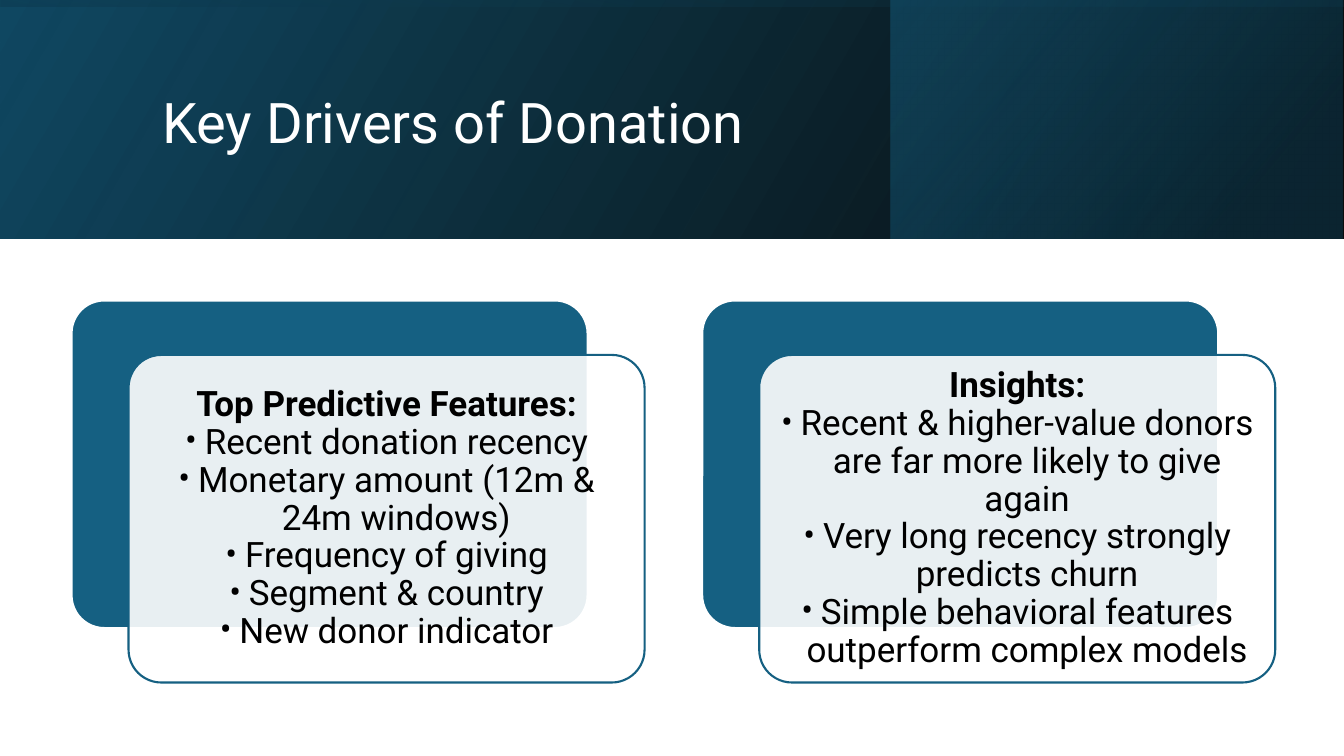
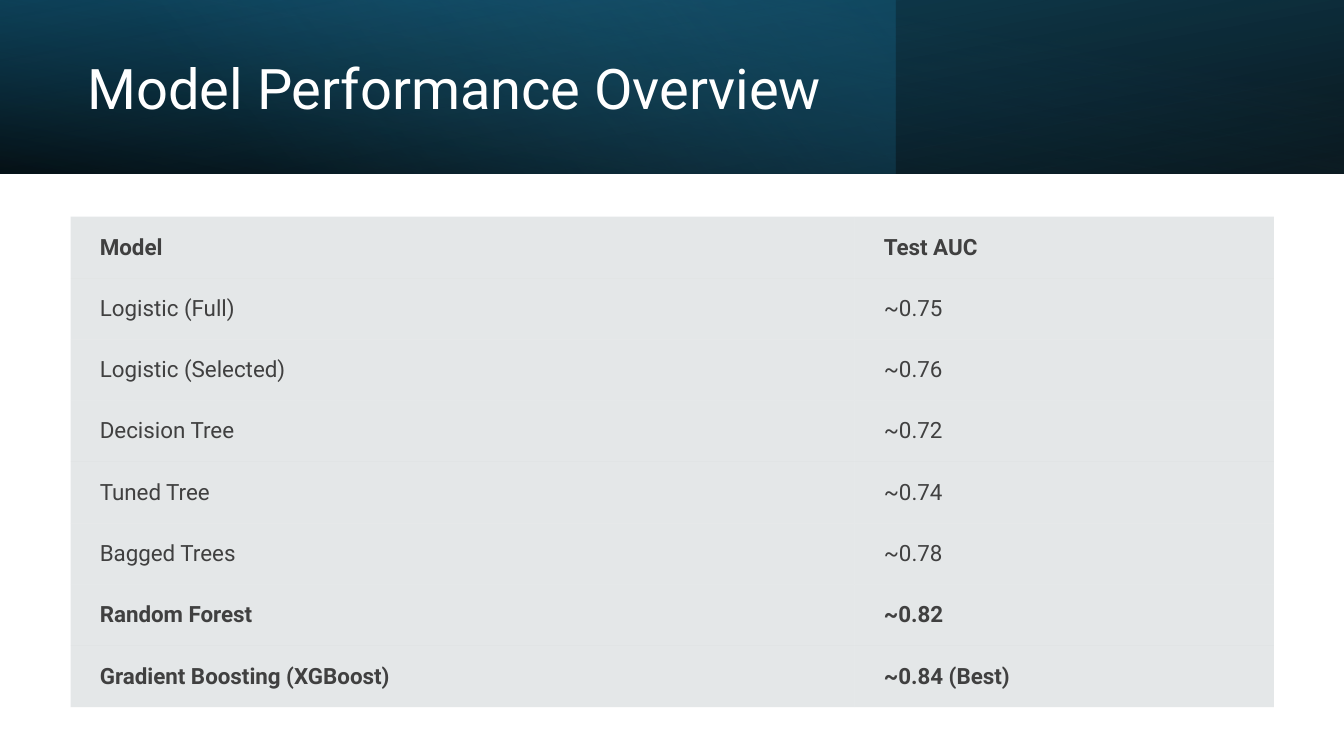
from lxml import etree
from pptx import Presentation
from pptx.dml.color import RGBColor
from pptx.enum import shapes as kinds, text as layout
from pptx.oxml import ns, parse_xml
from pptx.util import Pt

# Shared look
FONT = "Roboto"
WHITE = RGBColor(0xFF, 0xFF, 0xFF)
BLACK = RGBColor(0x00, 0x00, 0x00)
BLUE = RGBColor(0x15, 0x60, 0x82)
DEEP_BLUE = RGBColor(0x10, 0x48, 0x62)
NIGHT_BLUE = RGBColor(0x0B, 0x30, 0x41)
SKY_BLUE = RGBColor(0x46, 0xB1, 0xE1)
DARK_GREY = RGBColor(0x40, 0x40, 0x40)
CELL_GREY = RGBColor(0xB4, 0xBC, 0xBE)
PAGE_WIDTH, PAGE_HEIGHT = 960, 540
PLAIN_TABLE_STYLE = "{2D5ABB26-0587-4C30-8999-92F81FD0307C}"

# Content
CARDS = [
    ("Top Predictive Features:", [
        "Recent donation recency",
        "Monetary amount (12m & 24m windows)",
        "Frequency of giving",
        "Segment & country",
        "New donor indicator",
    ]),
    ("Insights:", [
        "Recent & higher-value donors are far more likely to give again",
        "Very long recency strongly predicts churn",
        "Simple behavioral features outperform complex models",
    ]),
]
SCORES = [
    ("Model", "Test AUC"),
    ("Logistic (Full)", "~0.75"),
    ("Logistic (Selected)", "~0.76"),
    ("Decision Tree", "~0.72"),
    ("Tuned Tree", "~0.74"),
    ("Bagged Trees", "~0.78"),
    ("Random Forest", "~0.82"),
    ("Gradient Boosting (XGBoost)", "~0.84 (Best)"),
]
BOLD_ROWS = {0, 6, 7}


def add_span(para, words, size, color, bold=False):
    span = para.add_run()
    span.text = words
    span.font.name = FONT
    span.font.size = Pt(size)
    span.font.bold = bold
    span.font.color.rgb = color


def fill_solid(fill, parent, color, opacity=100):
    """Fill with one colour; parent is the XML element that holds the fill."""
    fill.solid()
    fill.fore_color.rgb = color
    if opacity < 100:
        tone = parent.find(ns.qn("a:solidFill")).find(ns.qn("a:srgbClr"))
        etree.SubElement(tone, ns.qn("a:alpha"), val=str(opacity * 1000))


def add_box(page, kind, left, top, width, height):
    box = page.shapes.add_shape(kind, Pt(left), Pt(top), Pt(width), Pt(height))
    box.shadow.inherit = False
    return box


def add_band(page, left, top, width, height, stops, angle, flip=True, turn=0):
    """Add a gradient rectangle; stops are (position, colour, opacity)."""
    band = add_box(page, kinds.MSO_SHAPE.RECTANGLE, left, top, width, height)
    band.line.fill.background()
    band.fill.background()
    band.rotation = turn
    properties = band._element.spPr
    if flip:
        properties.get_or_add_xfrm().set("flipH", "1")
    marks = "".join(
        f'<a:gs pos="{position * 1000}"><a:srgbClr val="{color}">'
        f'<a:alpha val="{opacity * 1000}"/></a:srgbClr></a:gs>'
        for position, color, opacity in stops)
    gradient = parse_xml(
        f'<a:gradFill {ns.nsdecls("a")} rotWithShape="1"><a:gsLst>{marks}</a:gsLst>'
        f'<a:lin ang="{angle * 60000}" scaled="0"/></a:gradFill>')
    properties.replace(properties.find(ns.qn("a:noFill")), gradient)


def place_title(page, words, left, top, width, height):
    title = page.shapes.title
    title.left, title.top, title.width, title.height = map(Pt, (left, top, width, height))
    frame = title.text_frame
    frame.word_wrap = True
    frame.auto_size = layout.MSO_AUTO_SIZE.NONE
    frame.vertical_anchor = layout.MSO_ANCHOR.MIDDLE
    para = frame.paragraphs[0]
    para.alignment = layout.PP_ALIGN.LEFT
    para.line_spacing = 0.9
    add_span(para, words, 40, WHITE)
    page.shapes._spTree.append(title._element)  # in front of the bands


def add_bullet(para, indent=14):
    properties = para._p.get_or_add_pPr()
    properties.set("marL", str(Pt(indent)))
    properties.set("indent", str(-Pt(indent)))
    etree.SubElement(properties, ns.qn("a:buFont"), typeface=FONT)
    etree.SubElement(properties, ns.qn("a:buChar"), char="•")


def add_card(page, left, top, heading, points):
    """Add a blue card with a translucent text card shifted over it."""
    looks = [(0, 0, BLUE, 100, WHITE), (40.7, 38.9, WHITE, 90, BLUE)]
    for shift_x, shift_y, color, opacity, edge in looks:
        card = add_box(page, kinds.MSO_SHAPE.ROUNDED_RECTANGLE,
                       left + shift_x, top + shift_y, 368.6, 234)
        card.adjustments[0] = 0.1
        fill_solid(card.fill, card._element.spPr, color, opacity)
        card.line.color.rgb = edge
        card.line.width = Pt(1.5)

    # Text goes in the front card
    frame = card.text_frame
    frame.word_wrap = True
    frame.vertical_anchor = layout.MSO_ANCHOR.MIDDLE
    frame.margin_left = frame.margin_right = Pt(7.2)
    frame.margin_top = frame.margin_bottom = Pt(7.2)
    for index, words in enumerate([heading] + points):
        para = frame.add_paragraph() if index else frame.paragraphs[0]
        para.alignment = layout.PP_ALIGN.CENTER
        para.line_spacing = 0.9
        if index:
            add_bullet(para)
        add_span(para, words, 25, BLACK, bold=index == 0)


def add_score_table(page, left, top, widths, row_height):
    table_frame = page.shapes.add_table(
        len(SCORES), len(widths), Pt(left), Pt(top),
        Pt(sum(widths)), Pt(row_height * len(SCORES)))
    table = table_frame.table
    table.horz_banding = False
    table._tbl.tblPr.find(ns.qn("a:tableStyleId")).text = PLAIN_TABLE_STYLE
    for column, width in zip(table.columns, widths):
        column.width = Pt(width)
    for row_index, values in enumerate(SCORES):
        table.rows[row_index].height = Pt(row_height)
        for column_index, words in enumerate(values):
            cell = table.cell(row_index, column_index)
            cell.vertical_anchor = layout.MSO_ANCHOR.MIDDLE
            cell.margin_left = Pt(20.9)
            cell.margin_right = cell.margin_top = cell.margin_bottom = Pt(10.8)
            fill_solid(cell.fill, cell._tc.get_or_add_tcPr(), CELL_GREY, 35)
            add_span(cell.text_frame.paragraphs[0], words, 16, DARK_GREY,
                     bold=row_index in BOLD_ROWS)


def add_page(deck):
    return deck.slides.add_slide(deck.slide_layouts.get_by_name("Title Only"))


def build_drivers(deck):
    page = add_page(deck)
    height = 170.6
    offset = (PAGE_WIDTH - height) / 2  # centres the upright band once turned
    add_band(page, 0, 0, PAGE_WIDTH, height,
             [(0, BLACK, 96), (100, DEEP_BLUE, 100)], 330)
    add_band(page, 636.5, 0, 322.6, height,
             [(19, NIGHT_BLUE, 68), (100, BLUE, 48)], 320)
    add_band(page, offset, -offset, height, PAGE_WIDTH,
             [(23, DEEP_BLUE, 16), (99, BLACK, 45)], 350, turn=270)
    place_title(page, "Key Drivers of Donation", 108.7, 27.4, 765.4, 123.8)
    for index, (heading, points) in enumerate(CARDS):
        add_card(page, 51.1 + index * 450.5, 214.6, heading, points)


def build_performance(deck):
    page = add_page(deck)
    height = 123.8
    add_band(page, 0, 0, PAGE_WIDTH, height,
             [(0, BLACK, 96), (100, DEEP_BLUE, 100)], 100, turn=180)
    add_band(page, 0, 0, 640, height,
             [(0, BLUE, 41), (74, SKY_BLUE, 0)], 140, flip=False)
    add_band(page, 0, 0, PAGE_WIDTH, height,
             [(0, BLACK, 63), (78, BLUE, 15)], 260)
    place_title(page, "Model Performance Overview", 55.4, 19.4, 555.8, 91.4)
    add_score_table(page, 50.4, 154.8, [560, 299.5], 43.8)


def main():
    deck = Presentation()
    deck.slide_width, deck.slide_height = Pt(PAGE_WIDTH), Pt(PAGE_HEIGHT)
    build_drivers(deck)
    build_performance(deck)
    deck.save("out.pptx")


if __name__ == "__main__":
    main()
